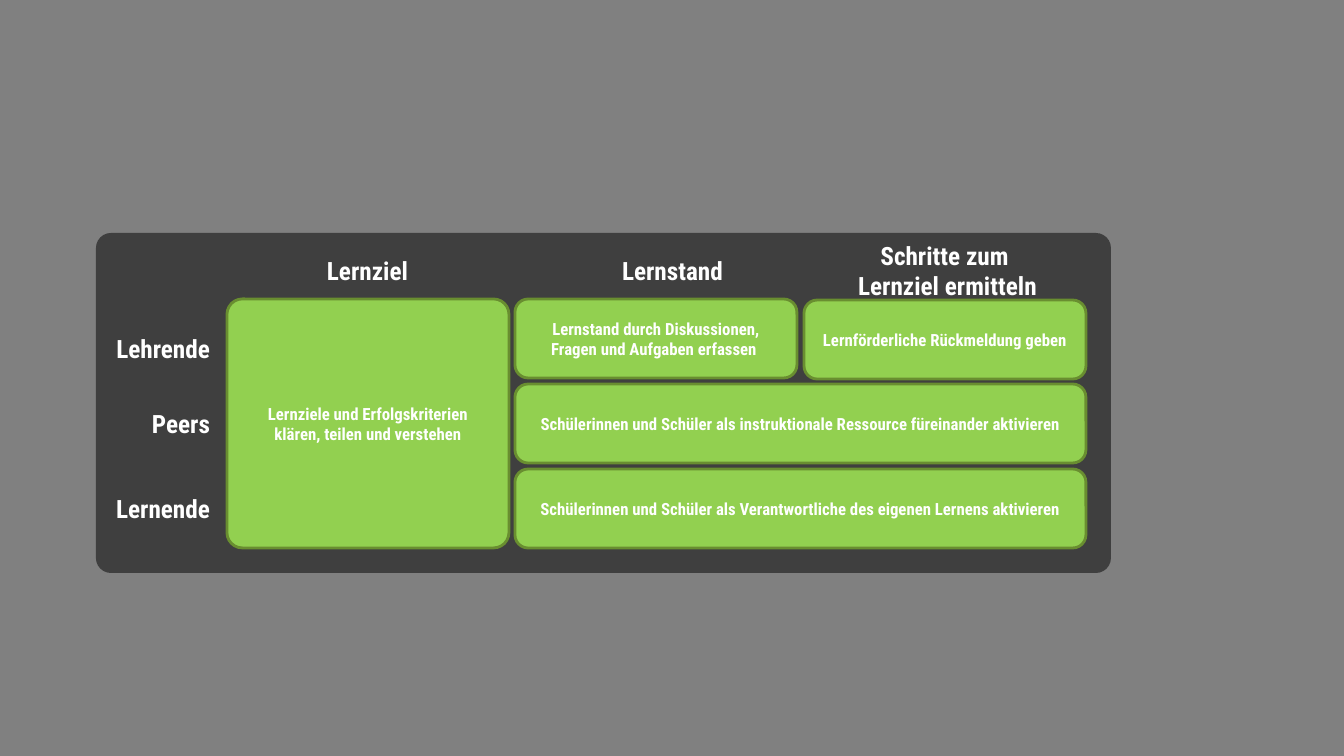
"""Build a slide with a grid of five strategies for formative assessment."""
from pptx import Presentation
from pptx.dml.color import RGBColor
from pptx.enum.shapes import MSO_SHAPE
from pptx.enum.text import MSO_ANCHOR, PP_ALIGN
from pptx.util import Pt

ROUND = MSO_SHAPE.ROUNDED_RECTANGLE
TOP, MIDDLE = MSO_ANCHOR.TOP, MSO_ANCHOR.MIDDLE
CENTER, RIGHT = PP_ALIGN.CENTER, PP_ALIGN.RIGHT
PX = 914400 / 100.8
FONT = "Roboto Condensed"
WHITE, GREEN, EDGE = "FFFFFF", "92D050", "698E30"
GRAY, DARK = "808080", "3F3F3F"


def paint(color, code):
    color.rgb = RGBColor.from_string(code)


def write(shape, text, size=18, align=CENTER, anchor=TOP, inset=0):
    frame = shape.text_frame
    frame.word_wrap = True
    frame.vertical_anchor = anchor
    frame.margin_left = frame.margin_right = round(inset * PX)
    frame.margin_top = frame.margin_bottom = 0
    para = frame.paragraphs[0]
    para.text = text
    para.alignment = align
    for run in para.runs:
        run.font.name = FONT
        run.font.size = Pt(size)
        run.font.bold = True
        paint(run.font.color, WHITE)


deck = Presentation()
deck.slide_width, deck.slide_height = round(1344 * PX), round(756 * PX)
slide = deck.slides.add_slide(deck.slide_layouts[6])
back = slide.background.fill
back.solid()
paint(back.fore_color, GRAY)

cols = [227, 515, 804]
rows = [299, 384, 469]
wide, high = 282, 79
full = cols[2] + wide - cols[1]
tall = rows[2] + high - rows[0]

panel = slide.shapes.add_shape(
    ROUND, *[round(n * PX) for n in (96, 233, 1015, 340)])
panel.shadow.inherit = False
panel.adjustments[0] = 0.044
panel.fill.solid()
paint(panel.fill.fore_color, DARK)
panel.line.fill.background()

cards = [
    (cols[1], rows[0], wide, high, 0.167,
     "Lernstand durch Diskussionen, Fragen und Aufgaben erfassen "),
    (cols[2], rows[0] + 1, wide, high, 0.167,
     "Lernförderliche Rückmeldung geben"),
    (cols[1], rows[1], full, high, 0.167,
     "Schülerinnen und Schüler als instruktionale Ressource füreinander aktivieren"),
    (cols[1], rows[2], full, high, 0.167,
     "Schülerinnen und Schüler als Verantwortliche des eigenen Lernens aktivieren"),
    (cols[0], rows[0], wide, tall, 0.062,
     "Lernziele und Erfolgskriterien klären, teilen und verstehen"),
]
for *place, curve, text in cards:
    card = slide.shapes.add_shape(ROUND, *[round(n * PX) for n in place])
    card.shadow.inherit = False
    card.adjustments[0] = curve
    card.fill.solid()
    paint(card.fill.fore_color, GREEN)
    paint(card.line.color, EDGE)
    card.line.width = Pt(2)
    write(card, text, size=12, anchor=MIDDLE, inset=12)

labels = [
    (306, 255, 123, 30, CENTER, "Lernziel"),
    (611, 255, 123, 30, CENTER, "Lernstand"),
    (798, 240, 299, 61, CENTER, "Schritte zum \nLernziel ermitteln"),
    (87, 333, 123, 30, RIGHT, "Lehrende"),
    (87, 408, 123, 30, RIGHT, "Peers"),
    (87, 493, 123, 30, RIGHT, "Lernende"),
]
for *place, align, text in labels:
    label = slide.shapes.add_textbox(*[round(n * PX) for n in place])
    write(label, text, align=align)

deck.save("out.pptx")
